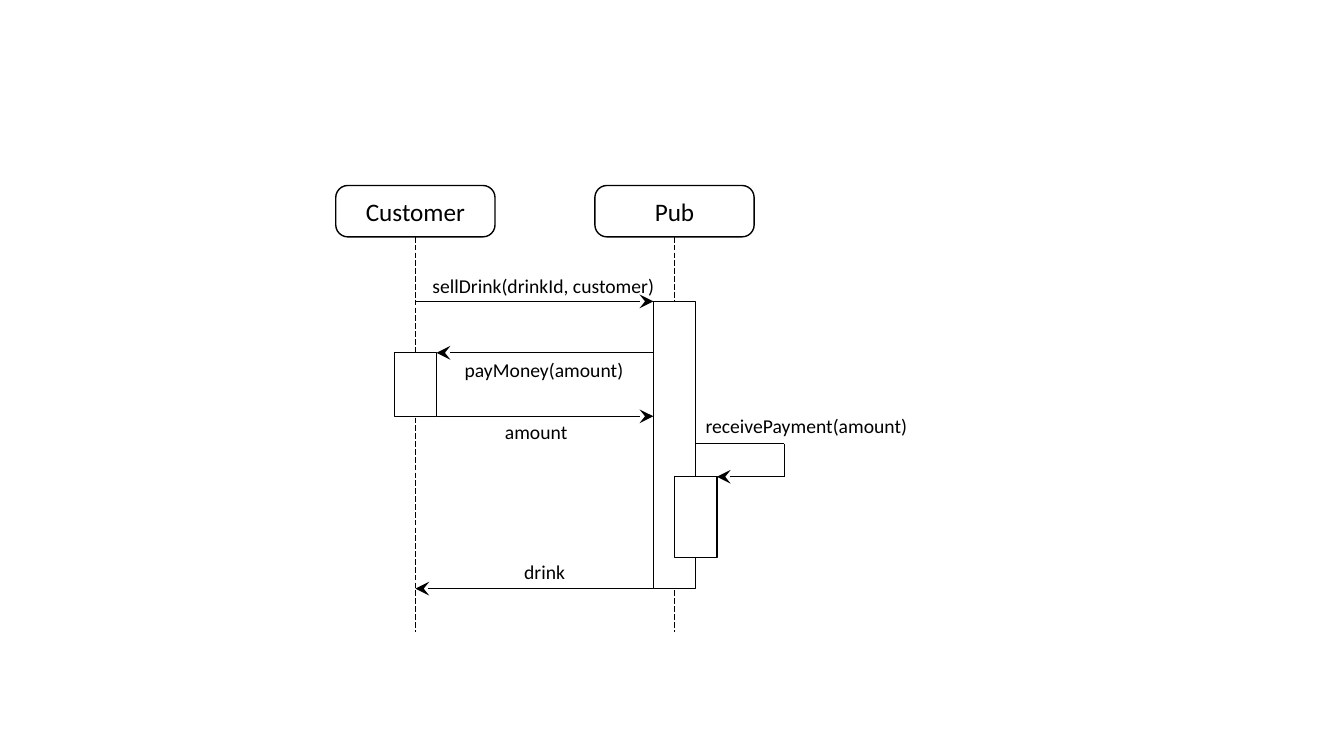
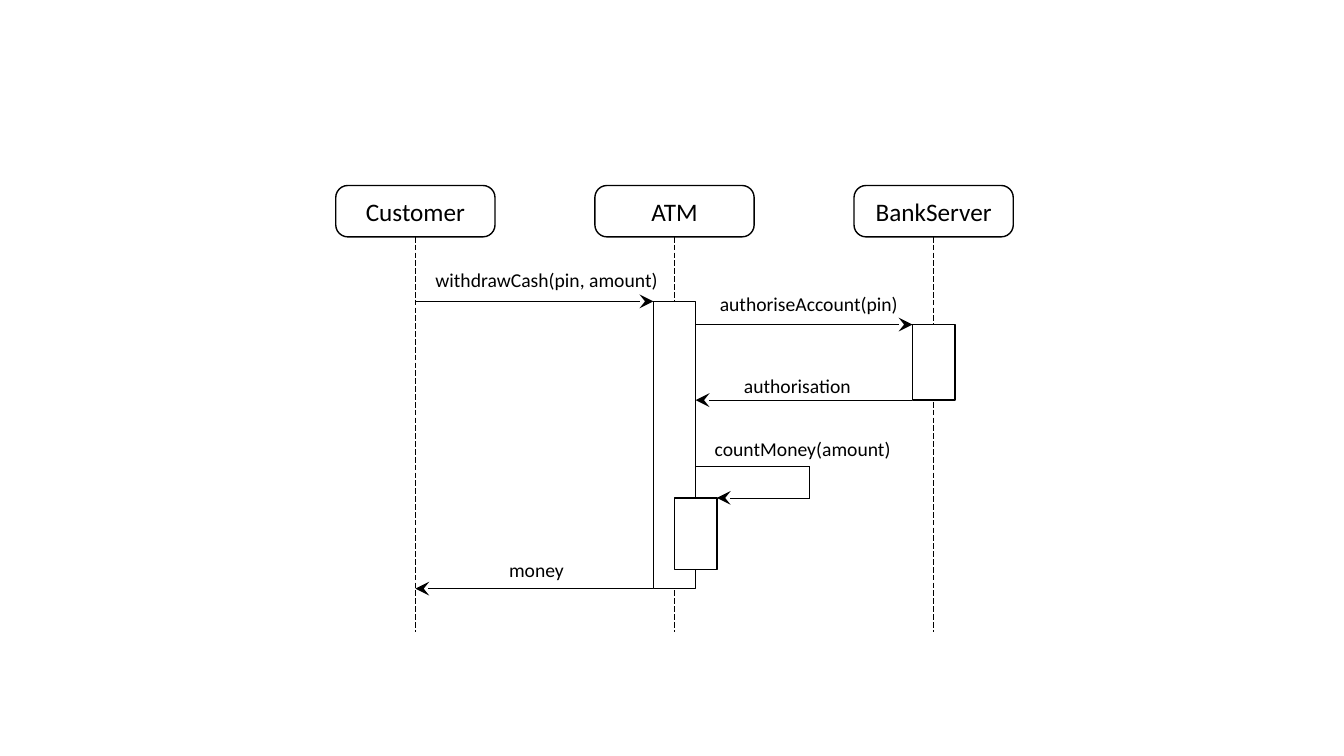
from dataclasses import dataclass

from lxml.etree import SubElement
from pptx import Presentation
from pptx.dml.color import RGBColor
from pptx.enum.dml import MSO_LINE
from pptx.enum.shapes import MSO_CONNECTOR, MSO_SHAPE
from pptx.enum.text import MSO_ANCHOR, MSO_AUTO_SIZE, PP_ALIGN
from pptx.oxml.ns import qn
from pptx.util import Inches, Pt

# Activations: participant, top, bottom.
# Messages: sender, receiver, y, label, label left, label top, label width.
# Self call: participant, y, return y, bottom, turn x, label and its place.
DIAGRAMS = [
    {
        "participants": ["Customer", "Pub"],
        "activations": [("Pub", 2.99, 5.84), ("Customer", 3.5, 4.13)],
        "messages": [
            ("Customer", "Pub", 2.99, "sellDrink(drinkId, customer)", 4.19, 2.67, 2.42),
            ("Pub", "Customer", 3.5, "payMoney(amount)", 4.51, 3.5, 1.79),
            ("Customer", "Pub", 4.13, "amount", 4.91, 4.12, 0.83),
            ("Pub", "Customer", 5.84, "drink", 5.1, 5.51, 0.61),
        ],
        "self_call": ("Pub", 4.4, 4.73, 5.53, 7.78, "receivePayment(amount)", 6.9, 4.06, 2.26),
    },
    {
        "participants": ["Customer", "ATM", "BankServer"],
        "activations": [("ATM", 2.99, 5.84), ("BankServer", 3.22, 3.97)],
        "messages": [
            ("Customer", "ATM", 2.99, "withdrawCash(pin, amount)", 4.22, 2.61, 2.43),
            ("ATM", "BankServer", 3.22, "authoriseAccount(pin)", 7.04, 2.85, 1.99),
            ("BankServer", "ATM", 3.97, "authorisation", 7.28, 3.66, 1.28),
            ("ATM", "Customer", 5.84, "money", 4.95, 5.49, 0.75),
        ],
        "self_call": ("ATM", 4.63, 4.94, 5.65, 8.03, "countMoney(amount)", 6.99, 4.29, 1.96),
    },
]


@dataclass(frozen=True)
class Theme:
    """Colours, type and line sizes shared by the slides."""
    ink: RGBColor = RGBColor(0, 0, 0)
    paper: RGBColor = RGBColor(255, 255, 255)
    font: str = "Calibri"
    name_size: int = 18
    label_size: int = 14
    outline: float = 1
    thin: float = 0.5


THEME = Theme()
FIRST_CENTRE, CENTRE_STEP = 4.12, 2.57
HEAD_TOP, HEAD_WIDTH, HEAD_HEIGHT = 1.84, 1.58, 0.51
LIFELINE_BOTTOM = 6.27
BAR_WIDTH = 0.42
LABEL_HEIGHT = 0.34


def add_text(frame, text, size):
    """Write one run into the first paragraph and return the paragraph."""
    para = frame.paragraphs[0]
    span = para.add_run()
    span.text = text
    span.font.name = THEME.font
    span.font.size = Pt(size)
    span.font.color.rgb = THEME.ink
    return para


def add_box(page, left, top, width, height, rounding):
    """Add an outlined box without fill."""
    box = page.shapes.add_shape(MSO_SHAPE.ROUNDED_RECTANGLE, Inches(left),
                                Inches(top), Inches(width), Inches(height))
    box.adjustments[0] = rounding
    box.shadow.inherit = False
    box.fill.background()
    box.line.color.rgb = THEME.ink
    box.line.width = Pt(THEME.outline)
    return box


def add_line(page, start, end, dashed=False, arrow=False):
    """Draw a thin line between two points, with an optional arrowhead."""
    line = page.shapes.add_connector(MSO_CONNECTOR.STRAIGHT,
                                     *[Inches(value) for value in start + end])
    line.line.color.rgb = THEME.ink
    line.line.width = Pt(THEME.thin)
    if dashed:
        line.line.dash_style = MSO_LINE.LONG_DASH
    properties = line._element.spPr
    if arrow:
        SubElement(properties.find(qn("a:ln")), qn("a:tailEnd"),
                   type="stealth", w="lg", len="lg")
    SubElement(properties, qn("a:effectLst"))


def add_label(page, text, left, top, width):
    """Add the text of a message."""
    box = page.shapes.add_textbox(Inches(left), Inches(top), Inches(width),
                                  Inches(LABEL_HEIGHT))
    box.text_frame.word_wrap = False
    box.text_frame.auto_size = MSO_AUTO_SIZE.SHAPE_TO_FIT_TEXT
    add_text(box.text_frame, text, THEME.label_size)


def add_participant(page, name, centre):
    """Add a participant's head and its dashed lifeline."""
    head = add_box(page, centre - HEAD_WIDTH / 2, HEAD_TOP, HEAD_WIDTH, HEAD_HEIGHT, 0.235)
    head.text_frame.vertical_anchor = MSO_ANCHOR.MIDDLE
    add_text(head.text_frame, name, THEME.name_size).alignment = PP_ALIGN.CENTER
    add_line(page, (centre, HEAD_TOP + HEAD_HEIGHT), (centre, LIFELINE_BOTTOM), dashed=True)


def add_activation(page, left, top, bottom):
    """Add a white activation bar."""
    bar = add_box(page, left, top, BAR_WIDTH, bottom - top, 0)
    bar.fill.solid()
    bar.fill.fore_color.rgb = THEME.paper


def add_self_call(page, centre, y, return_y, bottom, turn, *label):
    """Add a nested bar and the call that loops back to it."""
    add_activation(page, centre, return_y, bottom)
    add_line(page, (centre + BAR_WIDTH / 2, y), (turn, y))
    add_line(page, (turn, y), (turn, return_y))
    add_line(page, (turn, return_y), (centre + BAR_WIDTH, return_y), arrow=True)
    add_label(page, *label)


def add_diagram(page, diagram):
    """Draw one sequence diagram."""
    centres = {name: FIRST_CENTRE + index * CENTRE_STEP
               for index, name in enumerate(diagram["participants"])}

    def edge(name, other, y):
        """Find where a message meets a lifeline or its active bar."""
        active = any(owner == name and top <= y <= bottom
                     for owner, top, bottom in diagram["activations"])
        side = 1 if centres[other] > centres[name] else -1
        return centres[name] + side * active * BAR_WIDTH / 2

    for name, centre in centres.items():
        add_participant(page, name, centre)
    for name, top, bottom in diagram["activations"]:
        add_activation(page, centres[name] - BAR_WIDTH / 2, top, bottom)
    for sender, receiver, y, *label in diagram["messages"]:
        add_line(page, (edge(sender, receiver, y), y),
                 (edge(receiver, sender, y), y), arrow=True)
        add_label(page, *label)
    owner, *call = diagram["self_call"]
    add_self_call(page, centres[owner], *call)


deck = Presentation()
deck.slide_width, deck.slide_height = Inches(13.33), Inches(7.5)
for diagram in DIAGRAMS:
    add_diagram(deck.slides.add_slide(deck.slide_layouts[6]), diagram)
deck.save("out.pptx")
